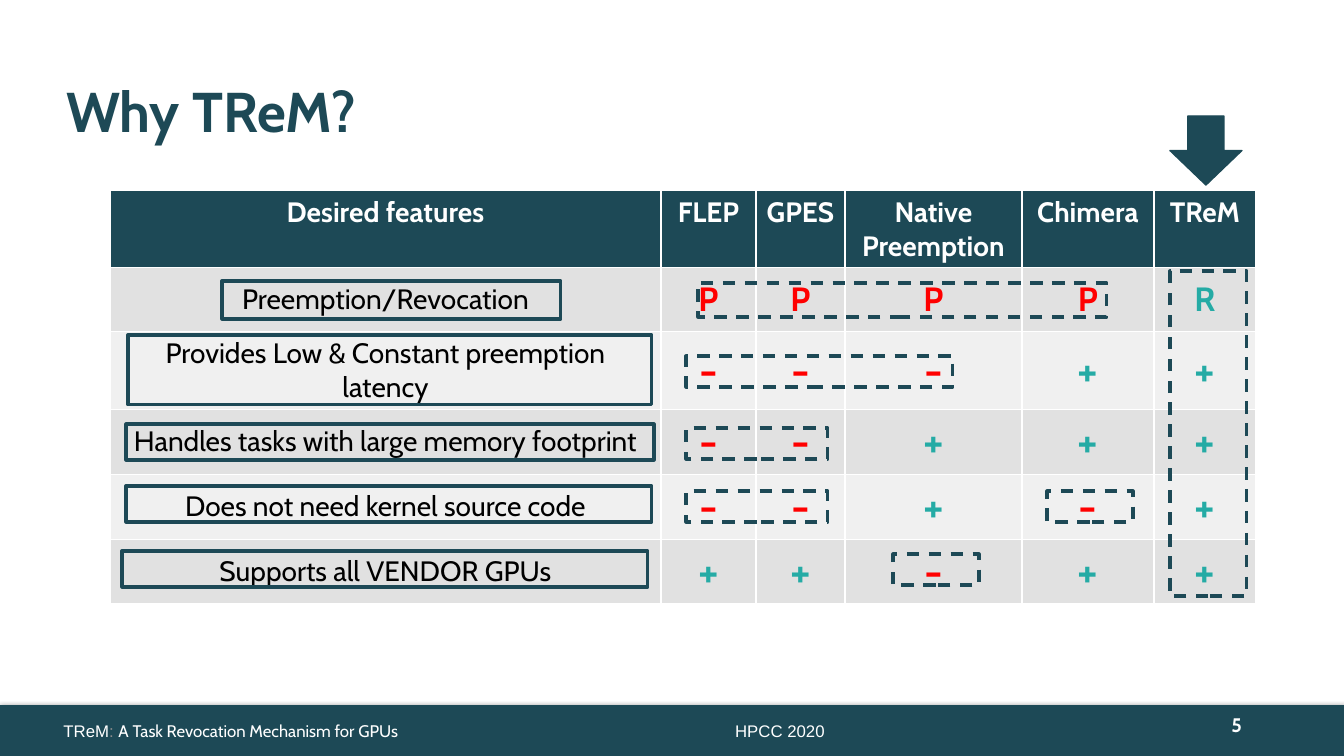
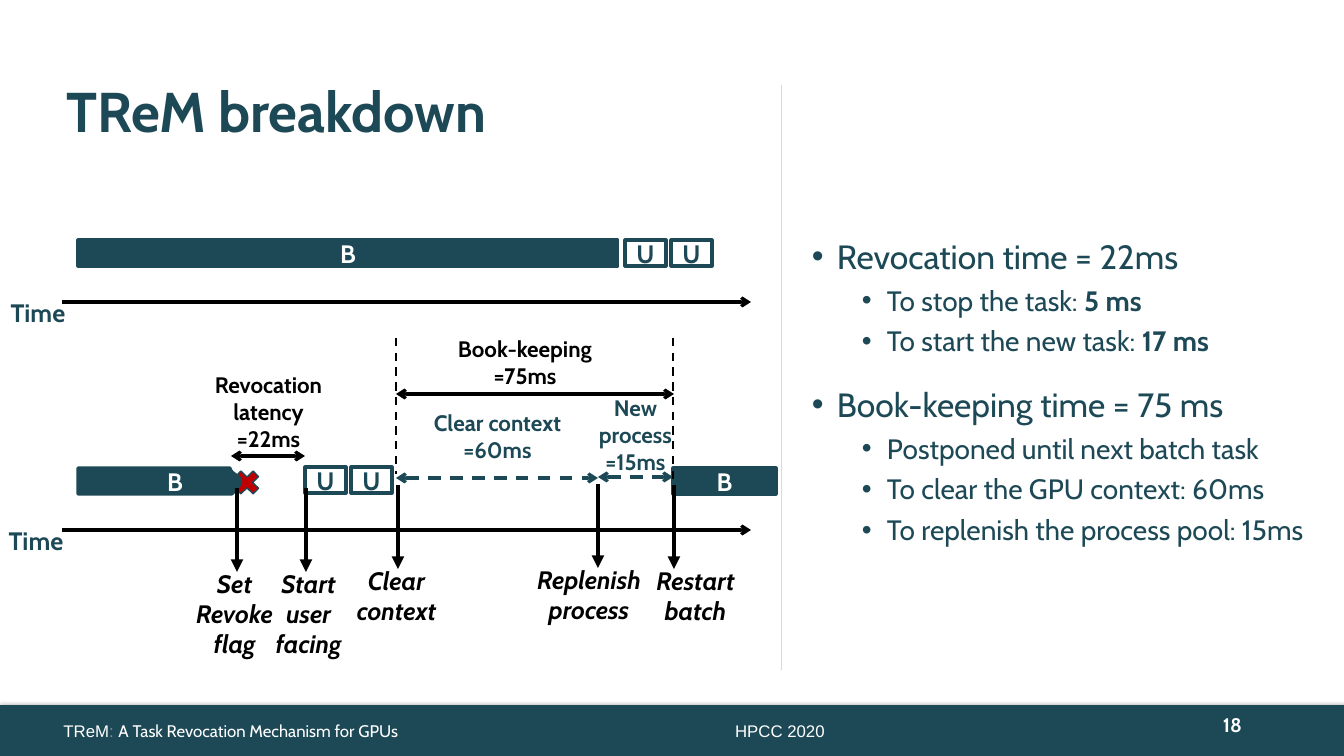
from lxml import etree
from pptx import Presentation
from pptx.dml.color import RGBColor
from pptx.enum.dml import MSO_LINE_DASH_STYLE as Dash
from pptx.enum.shapes import MSO_CONNECTOR as Connector, MSO_SHAPE as Preset
from pptx.enum.text import MSO_ANCHOR as Anchor, MSO_AUTO_SIZE as AutoSize, PP_ALIGN as Align
from pptx.oxml.ns import qn
from pptx.util import Emu, Pt

PAGE_WIDTH, PAGE_HEIGHT = 1344, 756
EMU_PER_PX = 12192000 / PAGE_WIDTH
TITLE_ONLY = 5

TEAL = RGBColor(0x1D, 0x49, 0x56)
PLUS_GREEN = RGBColor(0x25, 0xAB, 0xA5)
MINUS_RED = RGBColor(0xFF, 0x00, 0x00)
CROSS_RED = RGBColor(0xC0, 0x00, 0x00)
WHITE = RGBColor(0xFF, 0xFF, 0xFF)
BLACK = RGBColor(0x00, 0x00, 0x00)
COLON_GREY = RGBColor(0x8C, 0x8C, 0x8C)
RULE_GREY = RGBColor(0xD9, 0xD9, 0xD9)
ROW_FILLS = (RGBColor(0xE1, 0xE1, 0xE1), RGBColor(0xF0, 0xF0, 0xF0))

FEATURE_HEADER = ("Desired features", "FLEP", "GPES", "Native Preemption", "Chimera", "TReM")
FEATURE_ROWS = (
    ("Preemption/Revocation", "PPPPR"),
    ("Provides Low & Constant preemption latency", "---++"),
    ("Handles tasks with large memory footprint", "--+++"),
    ("Does not need kernel source code", "--+-+"),
    ("Supports all VENDOR GPUs", "++-++"),
)
COLUMN_WIDTHS = (551, 95, 89, 177, 132, 102)
ROW_HEIGHTS = (76, 64, 78, 65, 65, 64)
FEATURE_FRAMES = (
    (222, 281, 339, 38), (128, 335, 524, 70), (126, 424, 528, 36),
    (126, 486, 526, 36), (122, 551, 526, 36),
)
MARK_FRAMES = (
    (698, 283, 409, 34), (686, 356, 267, 31), (686, 428, 142, 31),
    (686, 491, 142, 31), (1047, 491, 86, 31), (893, 554, 86, 31),
    (1170, 271, 77, 325),
)

# Each finding: level, plain text, bold text, space before in points
FINDINGS = (
    (0, "Revocation time = 22ms", "", 0),
    (1, "To stop the task: ", "5 ms", 5),
    (1, "To start the new task: ", "17 ms", 5),
    (0, "Book-keeping time = 75 ms", "", 19),
    (1, "Postponed until next batch task", "", 5),
    (1, "To clear the GPU context: 60ms", "", 5),
    (1, "To replenish the process pool: 15ms", "", 5),
)
# Each event: text, arrow x, arrow top, label left, label top, label width
EVENTS = (
    ("Set\nRevoke\nflag", 237, 488, 184, 563, 101),
    ("Start\nuser\nfacing", 306, 488, 258, 563, 101),
    ("Clear\ncontext", 398, 485, 342, 560, 109),
    ("Replenish\nprocess", 598, 484, 521, 559, 136),
    ("Restart\nbatch", 674, 485, 641, 560, 109),
)
# Each interval: text, label box, label colour, arrow start x, end x, y, dash
INTERVALS = (
    ("Revocation\nlatency\n=22ms", (203, 366, 131, 92), BLACK, 231, 305, 456, None),
    ("Book-keeping\n=75ms", (435, 330, 180, 65), BLACK, 396, 674, 394, None),
    ("Clear context\n=60ms", (419, 404, 157, 65), TEAL, 396, 598, 478, Dash.DASH),
    ("New process\n=15ms", (582, 389, 107, 92), TEAL, 598, 673, 477, Dash.DASH),
)


def px(length):
    return Emu(round(length * EMU_PER_PX))


def add_span(para, text, size=18, color=TEAL, bold=False, italic=False, font="Cabin"):
    span = para.add_run()
    span.text = text
    span.font.name = font
    span.font.size = Pt(size)
    span.font.color.rgb = color
    span.font.bold = bold
    span.font.italic = italic


def add_text(page, box, lines="", anchor=Anchor.TOP, align=Align.CENTER, **look):
    """Add a wrapping text box, one paragraph a line, and return its frame."""
    frame = page.shapes.add_textbox(*map(px, box)).text_frame
    frame.word_wrap = True
    frame.vertical_anchor = anchor
    for number, line in enumerate(lines.split("\n")):
        para = frame.add_paragraph() if number else frame.paragraphs[0]
        para.alignment = align
        if line:
            add_span(para, line, **look)
    return frame


def paint(shape, fill=None, line=TEAL, width=2.25, dash=None):
    """Set fill and outline; None leaves either one out."""
    shape.shadow.inherit = False
    if fill is None:
        shape.fill.background()
    else:
        shape.fill.solid()
        shape.fill.fore_color.rgb = fill
    if line is None:
        shape.line.fill.background()
        return
    shape.line.color.rgb = line
    shape.line.width = Pt(width)
    if dash is not None:
        shape.line.dash_style = dash


def add_figure(page, preset, box, **look):
    shape = page.shapes.add_shape(preset, *map(px, box))
    paint(shape, **look)
    return shape


def add_task(page, box, name, fill, color):
    """Add a bar of the timeline with its letter inside."""
    frame = add_figure(page, Preset.RECTANGLE, box, fill=fill).text_frame
    frame.margin_left = frame.margin_right = frame.margin_top = frame.margin_bottom = 0
    frame.vertical_anchor = Anchor.MIDDLE
    frame.paragraphs[0].alignment = Align.CENTER
    add_span(frame.paragraphs[0], name, color=color, bold=True)


def add_line(page, start, end, color=BLACK, width=2.25, dash=None, head=None, tail=None):
    line = page.shapes.add_connector(Connector.STRAIGHT, *map(px, start + end))
    line.line.color.rgb = color
    line.line.width = Pt(width)
    if dash is not None:
        line.line.dash_style = dash
    outline = line.line._get_or_add_ln()
    for tag, kind in (("a:headEnd", head), ("a:tailEnd", tail)):
        if kind:
            etree.SubElement(outline, qn(tag), type=kind)
    etree.SubElement(line._element.spPr, qn("a:effectLst"))


def add_band_shadow(band):
    effects = band._element.spPr.find(qn("a:effectLst"))
    shadow = etree.SubElement(effects, qn("a:outerShdw"), blurRad=str(Pt(4.5)),
                              dist=str(Pt(1.5)), dir="5400000", rotWithShape="0")
    color = etree.SubElement(shadow, qn("a:srgbClr"), val=str(BLACK))
    etree.SubElement(color, qn("a:alpha"), val="63000")


def add_page(deck, title, number):
    """Add a slide with the shared title, band and footer."""
    page = deck.slides.add_slide(deck.slide_layouts[TITLE_ONLY])
    holder = page.shapes.title
    holder.left, holder.top, holder.width, holder.height = map(px, (56, 40, 903, 148))
    frame = holder.text_frame
    frame.auto_size = AutoSize.NONE
    frame.vertical_anchor = Anchor.MIDDLE
    para = frame.paragraphs[0]
    para.alignment = Align.LEFT
    para.line_spacing = 0.9
    add_span(para, title, size=40, bold=True)

    band = add_figure(page, Preset.RECTANGLE, (0, 705, PAGE_WIDTH, 51), fill=TEAL, line=None)
    add_band_shadow(band)
    add_text(page, (950, 705, 302, 40), str(number), anchor=Anchor.MIDDLE,
             align=Align.RIGHT, size=14, color=WHITE, bold=True)
    footer = add_text(page, (4, 711, 454, 40), anchor=Anchor.MIDDLE).paragraphs[0]
    add_span(footer, "TReM", size=12, color=WHITE, font="Arial")
    add_span(footer, ": ", size=12, color=COLON_GREY, font="Arial")
    add_span(footer, "A Task Revocation Mechanism for GPUs", size=12, color=WHITE)
    add_text(page, (553, 711, 454, 40), "HPCC 2020", anchor=Anchor.MIDDLE,
             size=12, color=WHITE, font="Arial")
    return page


def fill_cell(cell, text, fill, anchor=Anchor.MIDDLE, **look):
    cell.fill.solid()
    cell.fill.fore_color.rgb = fill
    cell.vertical_anchor = anchor
    para = cell.text_frame.paragraphs[0]
    para.alignment = Align.CENTER
    add_span(para, text, **look)


def add_feature_table(page):
    box = (110, 190, sum(COLUMN_WIDTHS), sum(ROW_HEIGHTS))
    table = page.shapes.add_table(len(ROW_HEIGHTS), len(COLUMN_WIDTHS), *map(px, box)).table
    for column, width in zip(table.columns, COLUMN_WIDTHS):
        column.width = px(width)
    for row, height in zip(table.rows, ROW_HEIGHTS):
        row.height = px(height)
    for column, text in enumerate(FEATURE_HEADER):
        fill_cell(table.cell(0, column), text, TEAL, anchor=Anchor.TOP,
                  size=20, color=WHITE, bold=True)
    for row, (feature, marks) in enumerate(FEATURE_ROWS, start=1):
        fill = ROW_FILLS[(row - 1) % 2]
        fill_cell(table.cell(row, 0), feature, fill, size=20, color=BLACK)
        for column, mark in enumerate(marks, start=1):
            fill_cell(table.cell(row, column), mark, fill, bold=True,
                      size=24 if mark in "PR" else 32,
                      color=MINUS_RED if mark in "P-" else PLUS_GREEN)


def add_findings(page):
    frame = add_text(page, (802, 231, 535, 330))
    for number, (level, plain, strong, space) in enumerate(FINDINGS):
        para = frame.add_paragraph() if number else frame.paragraphs[0]
        para.alignment = Align.LEFT
        para.level = level
        para.space_before = Pt(space)
        props = para._p.get_or_add_pPr()
        props.set("marL", str(px(75 if level else 25)))
        props.set("indent", str(px(-25)))
        etree.SubElement(props, qn("a:buFont"), typeface="Arial")
        etree.SubElement(props, qn("a:buChar"), char="•")
        size = 20 if level else 24
        add_span(para, plain, size=size)
        if strong:
            add_span(para, strong, size=size, bold=True)


def curve_points(start, first, second, end, steps=10):
    """Return points along a cubic Bezier curve."""
    points = []
    for step in range(steps + 1):
        t = step / steps
        weights = ((1 - t) ** 3, 3 * t * (1 - t) ** 2, 3 * t ** 2 * (1 - t), t ** 3)
        points.append(tuple(sum(w * p for w, p in zip(weights, axis))
                            for axis in zip(start, first, second, end)))
    return points


def add_revoked_task(page):
    """Add the batch bar that is cut off at a curved edge."""
    edge = curve_points((230, 468), (231, 477), (252, 475), (232, 494))
    outline = page.shapes.build_freeform(px(78), px(468))
    outline.add_line_segments([(px(x), px(y)) for x, y in edge + [(78, 494)]], close=True)
    paint(outline.convert_to_shape(), fill=TEAL)
    add_text(page, (155, 461, 40, 34), "B", color=WHITE, bold=True)


def add_timeline(page):
    for axis_y, label_left in ((302, -4), (530, -6)):
        add_line(page, (62, axis_y), (751, axis_y), tail="arrow")
        add_text(page, (label_left, axis_y - 10, 84, 40), "Time", bold=True)
    add_task(page, (78, 240, 540, 26), "B", TEAL, WHITE)
    for left, top in ((625, 240), (671, 240), (305, 467), (351, 467)):
        add_task(page, (left, top, 41, 26), "U", WHITE, TEAL)
    add_figure(page, Preset.MATH_MULTIPLY, (230, 466, 34, 33), fill=CROSS_RED, width=1)
    add_revoked_task(page)
    add_task(page, (673, 468, 103, 26), "B", TEAL, WHITE)

    for text, x, top, left, label_top, width in EVENTS:
        add_line(page, (x, top), (x, top + 84), width=3, tail="triangle")
        add_text(page, (left, label_top, width, 102), text, color=BLACK, bold=True, italic=True)
    for text, box, color, start, end, y, dash in INTERVALS:
        add_text(page, box, text, size=16, color=color, bold=True)
        add_line(page, (start, y), (end, y), color=color, dash=dash, head="arrow", tail="arrow")
    for x, bottom in ((396, 474), (673, 480)):
        add_line(page, (x, 338), (x, bottom), width=1.5, dash=Dash.DASH)


def build_comparison(deck):
    page = add_page(deck, "Why TReM?", 5)
    add_feature_table(page)
    for box in FEATURE_FRAMES:
        add_figure(page, Preset.RECTANGLE, box)
    for box in MARK_FRAMES:
        add_figure(page, Preset.RECTANGLE, box, dash=Dash.DASH)
    add_figure(page, Preset.DOWN_ARROW, (1170, 116, 72, 69), fill=TEAL, width=1)


def build_breakdown(deck):
    page = add_page(deck, "TReM breakdown", 18)
    add_line(page, (781, 85), (781, 670), color=RULE_GREY, width=0.5)
    add_findings(page)
    add_timeline(page)


def main():
    deck = Presentation()
    deck.slide_width, deck.slide_height = px(PAGE_WIDTH), px(PAGE_HEIGHT)
    build_comparison(deck)
    build_breakdown(deck)
    deck.save("out.pptx")


if __name__ == "__main__":
    main()
